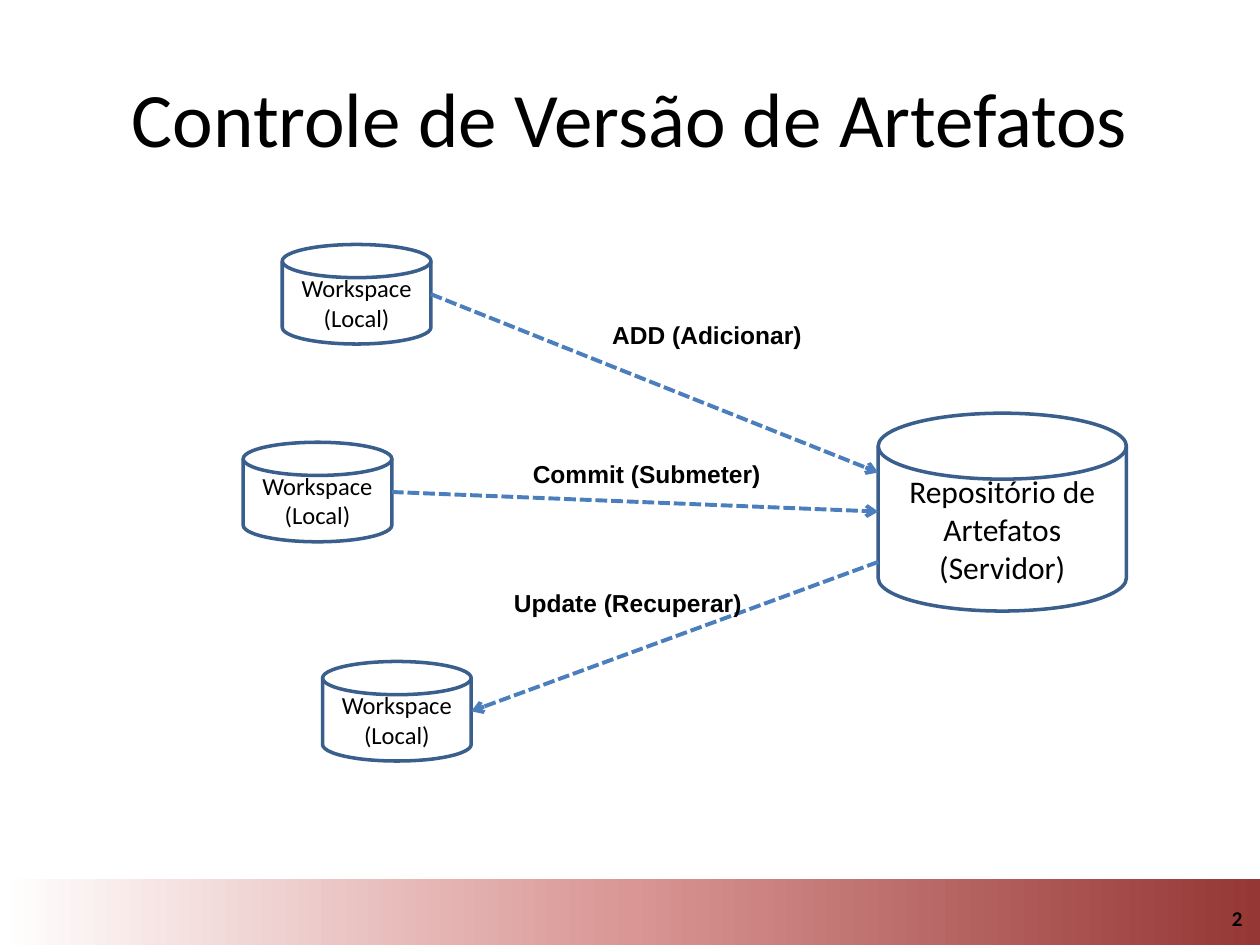
from copy import deepcopy

from lxml.etree import SubElement
from pptx import Presentation
from pptx.dml.color import RGBColor
from pptx.enum.dml import MSO_LINE
from pptx.enum.shapes import MSO_CONNECTOR, MSO_SHAPE
from pptx.enum.text import MSO_ANCHOR, MSO_AUTO_SIZE, PP_ALIGN
from pptx.oxml.ns import qn
from pptx.util import Inches, Pt

BLACK = RGBColor(0x00, 0x00, 0x00)
OUTLINE = RGBColor(0x3A, 0x5F, 0x8C)
ARROW = RGBColor(0x4B, 0x7E, 0xBC)
BAND_STOPS = (
    (0, RGBColor(0x95, 0x37, 0x35)),
    (0.5, RGBColor(0xD9, 0x96, 0x94)),
    (1, RGBColor(0xFF, 0xFF, 0xFF)),
)
COLUMNS, ROWS = 100, 75
WORKSPACE_SIZE = (11.8, 7.9)
REPOSITORY = (69.7, 32.8, 19.7, 15.7)


def write_text(shape, text, size, font="Calibri", bold=False, align=PP_ALIGN.CENTER,
               anchor=MSO_ANCHOR.MIDDLE, wrap=True):
    frame = shape.text_frame
    frame.word_wrap = wrap
    frame.vertical_anchor = anchor
    paragraph = frame.paragraphs[0]
    paragraph.alignment = align
    run = paragraph.add_run()
    run.text = text
    run.font.name = font
    run.font.size = Pt(size)
    run.font.bold = bold
    run.font.color.rgb = BLACK


class SlideBuilder:
    def __init__(self, presentation):
        self.slide = presentation.slides.add_slide(presentation.slide_layouts[6])
        self.column = presentation.slide_width / COLUMNS
        self.row = presentation.slide_height / ROWS

    def place(self, *lengths):
        units = (self.column, self.row) * 2
        return [round(length * unit) for length, unit in zip(lengths, units)]

    def band(self, *box):
        shape = self.slide.shapes.add_shape(MSO_SHAPE.RECTANGLE, *self.place(*box))
        shape.shadow.inherit = False
        shape.line.fill.background()
        shape.fill.gradient()
        shape.fill.gradient_angle = 180
        stop_list = shape._element.spPr.find(".//" + qn("a:gsLst"))
        stop_list.insert(1, deepcopy(stop_list[0]))
        for stop, (position, color) in zip(shape.fill.gradient_stops, BAND_STOPS):
            stop.position = position
            stop.color.rgb = color

    def text(self, box, text, size, **style):
        shape = self.slide.shapes.add_textbox(*self.place(*box))
        write_text(shape, text, size, **style)
        return shape

    def label(self, left, top, width, text):
        shape = self.text((left, top, width, 3.4), text, 14, font="Arial", bold=True,
                          align=PP_ALIGN.LEFT, anchor=MSO_ANCHOR.TOP, wrap=False)
        shape.text_frame.auto_size = MSO_AUTO_SIZE.SHAPE_TO_FIT_TEXT

    def disk(self, box, text, size):
        shape = self.slide.shapes.add_shape(MSO_SHAPE.FLOWCHART_MAGNETIC_DISK, *self.place(*box))
        shape.shadow.inherit = False
        shape.fill.background()
        shape.line.color.rgb = OUTLINE
        shape.line.width = Pt(2)
        write_text(shape, text, size)

    def arrow(self, start, end):
        connector = self.slide.shapes.add_connector(
            MSO_CONNECTOR.STRAIGHT, *self.place(*start, *end))
        connector.line.color.rgb = ARROW
        connector.line.width = Pt(2.25)
        connector.line.dash_style = MSO_LINE.SQUARE_DOT
        SubElement(connector.line._get_or_add_ln(), qn("a:tailEnd"), type="arrow")
        SubElement(connector._element.spPr, qn("a:effectLst"))


def main():
    presentation = Presentation()
    presentation.slide_width = Inches(10)
    presentation.slide_height = Inches(7.5)
    builder = SlideBuilder(presentation)

    builder.band(0, 69.8, COLUMNS, 5.2)
    builder.text((76.3, 70.9, 23.3, 4), "2", 12, bold=True, align=PP_ALIGN.RIGHT)
    builder.text((5, 3, 90, 12.5), "Controle de Versão de Artefatos", 44)
    builder.disk(REPOSITORY, "Repositório de Artefatos (Servidor)", 18)

    width, height = WORKSPACE_SIZE
    port_column = REPOSITORY[0]
    flows = (
        (22.4, 19.4, 37.5, True, (47.6, 24.9, 17.1, "ADD (Adicionar)")),
        (19.3, 35.1, 40.6, True, (41.3, 35.9, 20.2, "Commit (Submeter)")),
        (25.6, 52.5, 44.6, False, (39.8, 46.2, 20.2, "Update (Recuperar)")),
    )
    for left, top, port_row, sends, label in flows:
        builder.disk((left, top, width, height), "Workspace (Local)", 14)
        ends = [(left + width, top + height / 2), (port_column, port_row)]
        builder.arrow(*(ends if sends else reversed(ends)))
        builder.label(*label)

    presentation.save("out.pptx")


if __name__ == "__main__":
    main()
